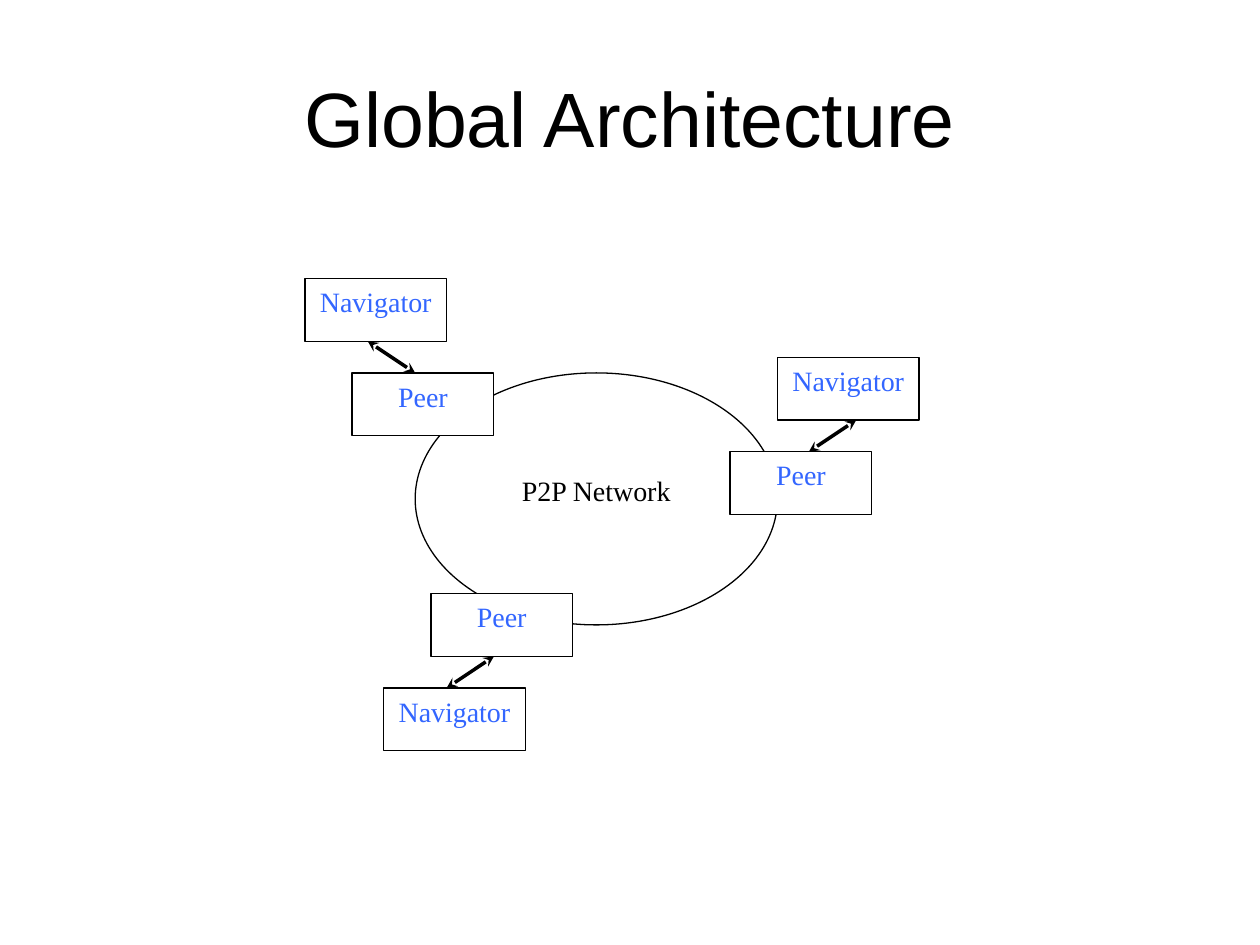
import pptx
import pptx.dml.color
import pptx.enum.shapes
import pptx.enum.text
import pptx.oxml.ns
import pptx.util
from lxml import etree

BLACK = pptx.dml.color.RGBColor(0x00, 0x00, 0x00)
WHITE = pptx.dml.color.RGBColor(0xFF, 0xFF, 0xFF)
BLUE = pptx.dml.color.RGBColor(0x33, 0x66, 0xFF)

# The diagram sits on a grid of eighths of an inch
GRID_LEFT, GRID_TOP, GRID_STEP = 2.42, 2.21, 0.125
BOX_COLUMNS, BOX_ROWS = 9, 4

# Grid cells (column, row) of each peer and its navigator,
# and how many columns into each box their link is attached
PAIRS = [
    ((3, 6), (0, 0), 4),
    ((27, 11), (30, 5), 5),
    ((8, 20), (5, 26), 4),
]


def grid_point(column, row):
    return (pptx.util.Inches(GRID_LEFT + column * GRID_STEP),
            pptx.util.Inches(GRID_TOP + row * GRID_STEP))


def grid_area(column, row, columns, rows):
    return (*grid_point(column, row),
            pptx.util.Inches(columns * GRID_STEP),
            pptx.util.Inches(rows * GRID_STEP))


def write_text(shape, text, font_name, size, color,
               anchor=pptx.enum.text.MSO_ANCHOR.TOP):
    frame = shape.text_frame
    frame.word_wrap = True
    frame.vertical_anchor = anchor
    paragraph = frame.paragraphs[0]
    paragraph.alignment = pptx.enum.text.PP_ALIGN.CENTER
    run = paragraph.add_run()
    run.text = text
    run.font.name = font_name
    run.font.size = pptx.util.Pt(size)
    run.font.color.rgb = color


def add_outlined_shape(slide, kind, area):
    shape = slide.shapes.add_shape(kind, *area)
    shape.shadow.inherit = False
    shape.fill.solid()
    shape.fill.fore_color.rgb = WHITE
    shape.line.color.rgb = BLACK
    shape.line.width = pptx.util.Pt(0.75)
    return shape


def add_box(slide, cell, text):
    area = grid_area(*cell, BOX_COLUMNS, BOX_ROWS)
    box = add_outlined_shape(
        slide, pptx.enum.shapes.MSO_SHAPE.RECTANGLE, area)
    write_text(box, text, "Times New Roman", 16, BLUE)


def add_link(slide, peer, navigator, offset):
    """Join the facing edges of a peer and its navigator."""
    upper, lower = sorted((peer, navigator), key=lambda cell: cell[1])
    start = grid_point(lower[0] + offset, lower[1])
    end = grid_point(upper[0] + offset, upper[1] + BOX_ROWS)
    link = slide.shapes.add_connector(
        pptx.enum.shapes.MSO_CONNECTOR.STRAIGHT, *start, *end)
    link.line.color.rgb = BLACK
    link.line.width = pptx.util.Pt(2)
    # Arrowheads at both ends, no shadow
    line = link.line._get_or_add_ln()
    for tag in ("a:headEnd", "a:tailEnd"):
        etree.SubElement(line, pptx.oxml.ns.qn(tag), type="stealth")
    etree.SubElement(link._element.spPr, pptx.oxml.ns.qn("a:effectLst"))


def add_title(slide, presentation, text):
    width, height = presentation.slide_width, presentation.slide_height
    title = slide.shapes.add_textbox(
        int(width * 0.05), int(height * 0.04),
        int(width * 0.9), int(height / 6))
    write_text(title, text, "Arial", 44, BLACK,
               pptx.enum.text.MSO_ANCHOR.MIDDLE)


def main():
    presentation = pptx.Presentation()
    presentation.slide_width = pptx.util.Inches(10)
    presentation.slide_height = pptx.util.Inches(7.5)
    slide = presentation.slides.add_slide(presentation.slide_layouts[6])

    add_title(slide, presentation, "Global Architecture")

    # Network ring behind the boxes
    add_outlined_shape(slide, pptx.enum.shapes.MSO_SHAPE.OVAL,
                       grid_area(7, 6, 23, 16))

    # Peers and navigators
    for peer, navigator, _ in PAIRS:
        add_box(slide, peer, "Peer")
        add_box(slide, navigator, "Navigator")

    # Network label
    label = slide.shapes.add_textbox(*grid_area(12, 12, 13, 4))
    write_text(label, "P2P Network", "Times New Roman", 16, BLACK)

    # Links between each pair
    for peer, navigator, offset in PAIRS:
        add_link(slide, peer, navigator, offset)

    presentation.save("out.pptx")


if __name__ == "__main__":
    main()
